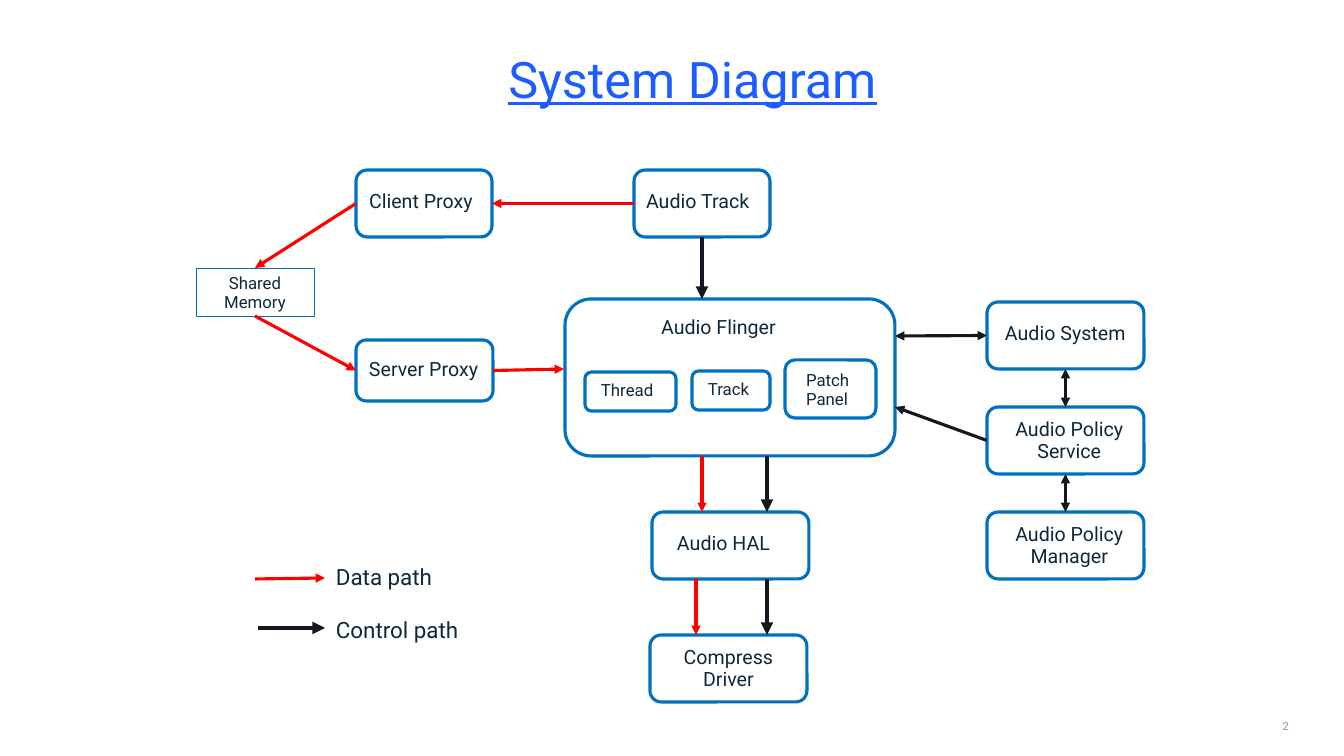
"""Build the System Diagram slide: audio components joined by data and control paths."""
from lxml.etree import SubElement
from pptx import Presentation
from pptx.dml.color import RGBColor
from pptx.enum.shapes import MSO_CONNECTOR, MSO_SHAPE
from pptx.enum.text import MSO_ANCHOR, MSO_AUTO_SIZE, PP_ALIGN
from pptx.oxml.ns import qn
from pptx.util import Pt

BLUE = RGBColor(0x00, 0x70, 0xC0)
TITLE_BLUE = RGBColor(0x1D, 0x5C, 0xFF)
INK = RGBColor(0x0E, 0x28, 0x3C)
GREY = RGBColor(0x84, 0x98, 0xB8)
RED = RGBColor(0xFF, 0x00, 0x00)
BLACK = RGBColor(0x13, 0x17, 0x1F)

EMU_PER_PIXEL = 914400 / 100.8
CORNER_INSET = 0.1667 * 0.29
TOP, LEFT, BOTTOM, RIGHT = range(4)
ROUND, RECT = MSO_SHAPE.ROUNDED_RECTANGLE, MSO_SHAPE.RECTANGLE
START, CENTER, END = PP_ALIGN.LEFT, PP_ALIGN.CENTER, PP_ALIGN.RIGHT

# label: (left, top, width, height), (text inset left, top, right), size, alignment
COMPONENTS = {
    "Audio Track": ((634, 170, 136, 67), (12, 20, 3), 14, START),
    "Client Proxy": ((356, 170, 136, 67), (13, 20, 3), 14, START),
    "Server Proxy": ((356, 340, 137, 61), (13, 18, 3), 14, START),
    "Audio Flinger": ((565, 299, 330, 157), (96, 17, 72), 14, START),
    "Thread": ((585, 372, 91, 39), (16, 9, 3), 12, START),
    "Track": ((692, 371, 78, 39), (16, 9, 3), 12, START),
    "Patch Panel": ((785, 360, 91, 58), (21, 11, 20), 12, START),
    "Audio System": ((987, 302, 157, 67), (18, 20, 3), 14, START),
    "Audio Policy Service": ((987, 407, 157, 67), (11, 11, 3), 14, CENTER),
    "Audio Policy Manager": ((987, 512, 157, 67), (11, 11, 3), 14, CENTER),
    "Audio HAL": ((652, 512, 157, 67), (3, 20, 17), 14, CENTER),
    "Compress Driver": ((650, 635, 157, 67), (7, 11, 7), 14, CENTER),
    "Shared Memory": ((196, 268, 118, 48), (18, 6, 18), 12, CENTER),
}

# start, end (a component side or a point), colour, width, both ends
PATHS = [
    (("Audio Track", BOTTOM), (702, 299), BLACK, 3, False),
    (("Audio Track", LEFT), ("Client Proxy", RIGHT), RED, 2.25, False),
    (("Client Proxy", LEFT), ("Shared Memory", TOP), RED, 2.25, False),
    (("Shared Memory", BOTTOM), ("Server Proxy", LEFT), RED, 2.25, False),
    (("Server Proxy", RIGHT), (564, 369), RED, 2.25, False),
    ((702, 456), (702, 512), RED, 2.25, False),
    ((696, 579), (696, 635), RED, 2.25, False),
    ((767, 456), (767, 512), BLACK, 3, False),
    ((767, 579), (767, 635), BLACK, 3, False),
    ((895, 336), ("Audio System", LEFT), BLACK, 2.25, True),
    (("Audio System", BOTTOM), ("Audio Policy Service", TOP), BLACK, 2.25, True),
    (("Audio Policy Service", BOTTOM), ("Audio Policy Manager", TOP), BLACK, 2.25, True),
    (("Audio Policy Service", LEFT), (895, 407), BLACK, 2.25, False),
    ((255, 579), (325, 578), RED, 2.25, False),
    ((258, 628), (325, 628), BLACK, 3, False),
]

# text, (left, top, width, height)
LEGEND = [
    ("Data path", (336, 565, 110, 26)),
    ("Control path", (336, 618, 140, 26)),
]


def px(value):
    return round(value * EMU_PER_PIXEL)


def write(shape, text, size, color, align=START, insets=(0, 0, 0), spacing=0.96):
    frame = shape.text_frame
    frame.auto_size = MSO_AUTO_SIZE.NONE
    frame.word_wrap = True
    frame.vertical_anchor = MSO_ANCHOR.TOP
    frame.margin_left, frame.margin_top, frame.margin_right = map(px, insets)
    frame.margin_bottom = 0
    frame.text = text
    para = frame.paragraphs[0]
    para.alignment = align
    para.line_spacing = spacing
    para.font.name = "Roboto"
    para.font.size = Pt(size)
    para.font.color.rgb = color
    return frame


def add_component(slide, label, bounds, insets, size, align):
    rounded = label != "Shared Memory"
    box = slide.shapes.add_shape(ROUND if rounded else RECT, *map(px, bounds))
    box.shadow.inherit = False
    box.fill.background()
    box.line.color.rgb = BLUE
    box.line.width = Pt(2.25 if rounded else 0.5)
    corner = CORNER_INSET * min(bounds[2:]) if rounded else 0
    write(box, label, size, INK, align, [max(0, inset - corner) for inset in insets])
    return box


def add_path(slide, boxes, start, end, color, width, both_ends):
    points = [(0, 0) if end_point[0] in boxes else end_point for end_point in (start, end)]
    path = slide.shapes.add_connector(
        MSO_CONNECTOR.STRAIGHT, *(px(value) for point in points for value in point))
    for connect, (anchor, side) in ((path.begin_connect, start), (path.end_connect, end)):
        if anchor in boxes:
            connect(boxes[anchor], side)
    path.line.color.rgb = color
    path.line.width = Pt(width)
    properties = path.line._get_or_add_ln()
    for tag in ("a:headEnd", "a:tailEnd") if both_ends else ("a:tailEnd",):
        SubElement(properties, qn(tag), type="triangle")
    SubElement(properties.getparent(), qn("a:effectLst"))


deck = Presentation()
deck.slide_width, deck.slide_height = px(1344), px(756)
slide = deck.slides.add_slide(deck.slide_layouts[5])

title = slide.shapes.title
title.left, title.top, title.width, title.height = map(px, (206, 52, 973, 58))
title_frame = write(title, "System Diagram", 36, TITLE_BLUE, CENTER)
title_frame.paragraphs[0].font.underline = True

boxes = {label: add_component(slide, label, *layout) for label, layout in COMPONENTS.items()}
for path_layout in PATHS:
    add_path(slide, boxes, *path_layout)

for text, bounds in LEGEND:
    write(slide.shapes.add_textbox(*map(px, bounds)), text, 16, INK)

page_number = slide.shapes.add_textbox(*map(px, (1275, 718, 14, 15)))
number_frame = write(page_number, "2", 8, GREY, END, spacing=1.25)
number_frame.vertical_anchor = MSO_ANCHOR.BOTTOM

deck.save("out.pptx")
